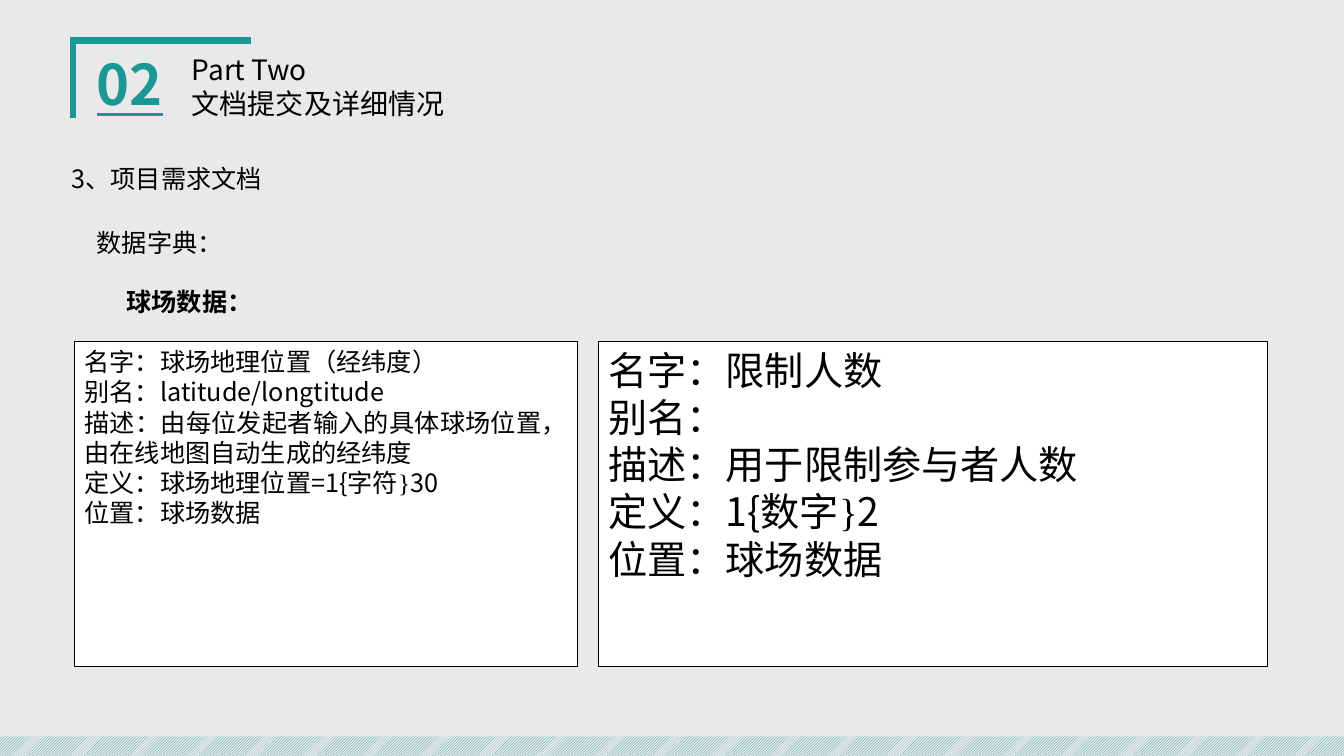
"""Build the data dictionary slide of the project requirements section."""
from dataclasses import dataclass

from lxml.etree import SubElement
from pptx import Presentation
from pptx.dml.color import RGBColor
from pptx.enum.dml import MSO_PATTERN
from pptx.enum.shapes import MSO_SHAPE
from pptx.enum.text import MSO_ANCHOR, PP_ALIGN
from pptx.oxml.ns import qn
from pptx.util import Pt


@dataclass(frozen=True)
class Theme:
    teal: RGBColor = RGBColor(0x1A, 0x98, 0x95)
    ink: RGBColor = RGBColor(0, 0, 0)
    paper: RGBColor = RGBColor(255, 255, 255)
    ground: RGBColor = RGBColor(0xE9, 0xE9, 0xE9)
    sans: str = "Noto Sans CJK SC"
    plain: str = "Calibri"
    serif: str = "Times New Roman"
    body: int = 18
    title: int = 20
    large: int = 28
    number: int = 40


THEME = Theme()
WIDTH, HEIGHT = 960, 540
FRAME = [(52, 84), (52, 29), (179, 29)]
BAND = 14
LABELS = [
    ((130, 34, 369, 55), ["Part Two", "文档提交及详细情况"], THEME.title),
    ((44, 113, 369, 29), ["3、项目需求文档"], THEME.body),
    ((62, 159, 309, 29), ["数据字典："], THEME.body),
]
FIELDS = ["名字：", "别名：", "描述：", "定义：", "位置："]
CARDS = [
    (359, THEME.body, [
        ["球场地理位置（经纬度）"],
        ["latitude/longtitude"],
        ["由每位发起者输入的具体球场位置，由在线地图自动生成的经纬度"],
        ["球场地理位置=1{字符", "}", "30"],
        ["球场数据"],
    ]),
    (477.5, THEME.large, [
        ["限制人数"],
        [],
        ["用于限制参与者人数"],
        ["1{数字", "}", "2"],
        ["球场数据"],
    ]),
]
LEFT, TOP, TALL, GAP = 53.3, 244, 232, 15.2


def add_run(para, text, size, face=THEME.sans, color=THEME.ink):
    run = para.add_run()
    run.text = text
    font = run.font
    font.size, font.name, font.color.rgb = Pt(size), face, color
    east = SubElement(font._element, qn("a:ea"))
    east.set("typeface", THEME.sans)
    return font


def add_label(slide, box, lines, size, face=THEME.sans, color=THEME.ink):
    frame = slide.shapes.add_textbox(*map(Pt, box)).text_frame
    frame.word_wrap = True
    for i, line in enumerate(lines):
        para = frame.add_paragraph() if i else frame.paragraphs[0]
        font = add_run(para, line, size, face, color)
    return para, font


def add_card(slide, left, width, size, values):
    card = slide.shapes.add_shape(
        MSO_SHAPE.RECTANGLE, Pt(left), Pt(TOP), Pt(width), Pt(TALL))
    card.shadow.inherit = False
    card.fill.solid()
    card.fill.fore_color.rgb = THEME.paper
    card.line.color.rgb = THEME.ink
    card.line.width = Pt(0.5)
    frame = card.text_frame
    frame.word_wrap = True
    frame.vertical_anchor = MSO_ANCHOR.TOP
    for i, (field, parts) in enumerate(zip(FIELDS, values)):
        para = frame.add_paragraph() if i else frame.paragraphs[0]
        para.alignment = PP_ALIGN.JUSTIFY
        first, *rest = parts or [""]
        for text in [field + first, *rest]:
            add_run(para, text, size, THEME.serif if text == "}" else THEME.sans)


def add_decor(slide):
    start, *rest = [(Pt(x), Pt(y)) for x, y in FRAME]
    path = slide.shapes.build_freeform(*start)
    path.add_line_segments(rest, close=False)
    frame = path.convert_to_shape()
    frame.shadow.inherit = False
    frame.fill.background()
    frame.line.color.rgb = THEME.teal
    frame.line.width = Pt(4.5)
    SubElement(frame._element.spPr.get_or_add_ln(), qn("a:miter")).set("lim", "800000")
    band = slide.shapes.add_shape(
        MSO_SHAPE.RECTANGLE, 0, Pt(HEIGHT - BAND), Pt(WIDTH), Pt(BAND))
    band.shadow.inherit = False
    band.line.fill.background()
    band.fill.patterned()
    band.fill.pattern = MSO_PATTERN.LIGHT_UPWARD_DIAGONAL
    band.fill.fore_color.rgb = THEME.teal
    band.fill.back_color.rgb = THEME.ground


def main():
    deck = Presentation()
    deck.slide_width, deck.slide_height = Pt(WIDTH), Pt(HEIGHT)
    slide = deck.slides.add_slide(deck.slide_layouts[6])
    slide.background.fill.solid()
    slide.background.fill.fore_color.rgb = THEME.ground
    add_decor(slide)
    _, font = add_label(
        slide, (62, 32, 68, 55), ["02"], THEME.number, color=THEME.teal)
    font.bold = font.underline = True
    for box, lines, size in LABELS:
        add_label(slide, box, lines, size)
    para, font = add_label(
        slide, (LEFT, 201, 137, 29), ["球场数据："], THEME.body, THEME.plain)
    font.bold = True
    para._p.get_or_add_pPr().set("indent", str(Pt(30)))
    left = LEFT
    for width, size, values in CARDS:
        add_card(slide, left, width, size, values)
        left += width + GAP
    deck.save("out.pptx")


if __name__ == "__main__":
    main()
